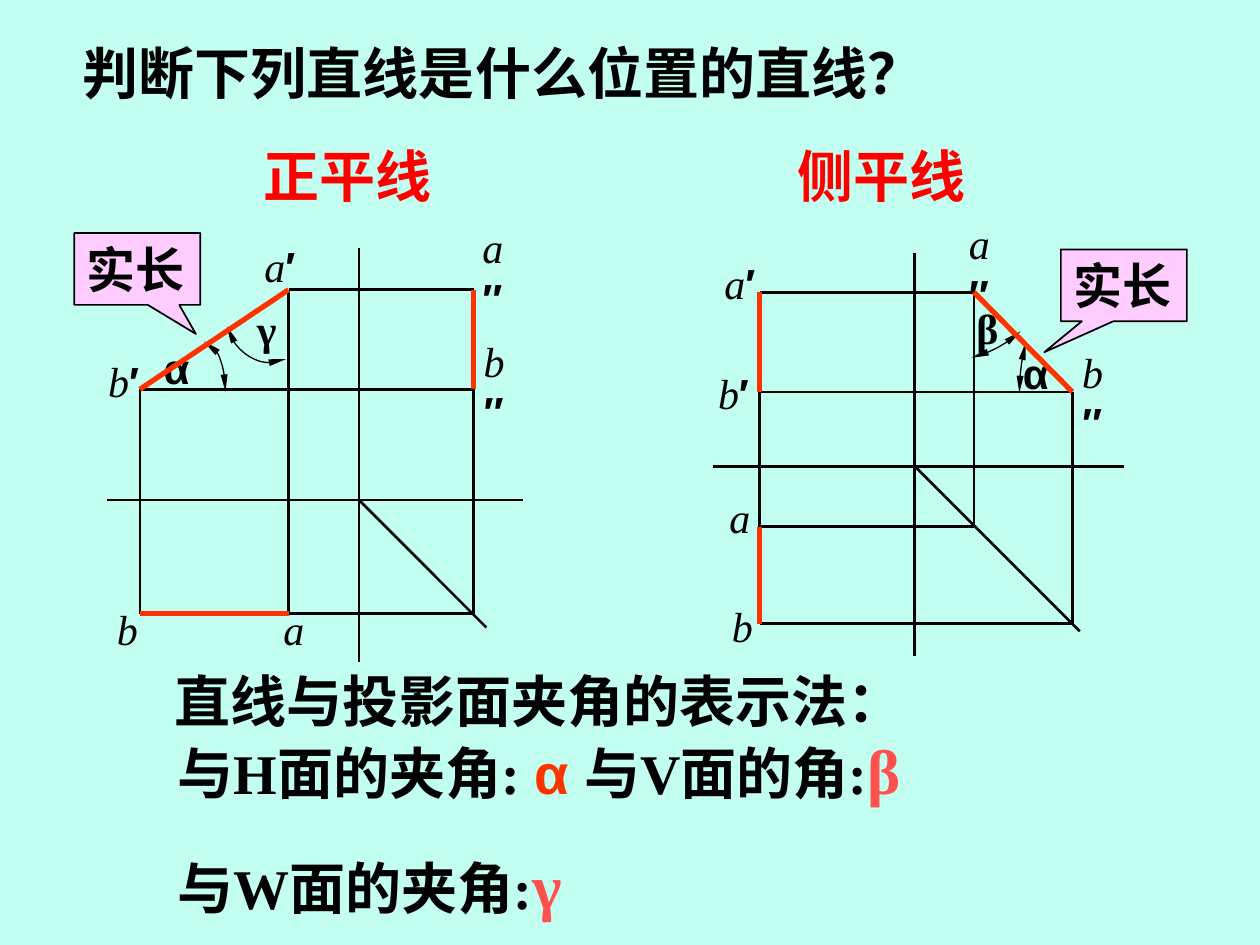
import pptx
import pptx.dml.color
import pptx.enum.shapes
import pptx.enum.text
import pptx.oxml
import pptx.oxml.ns
import pptx.util

RGB = pptx.dml.color.RGBColor
MINT, PINK = RGB(0xC2, 0xFF, 0xF0), RGB(0xFF, 0xCC, 0xFF)
BLACK, RED = RGB(0, 0, 0), RGB(0xFF, 0, 0)
ORANGE, CORAL = RGB(0xFF, 0x33, 0), RGB(0xFF, 0x50, 0x50)
SERIF, SANS = "Times New Roman", "Arial"
TOP, MIDDLE = pptx.enum.text.MSO_ANCHOR.TOP, pptx.enum.text.MSO_ANCHOR.MIDDLE
UNITS = 1000  # freeform units per inch

# text, (left, top, width, height), colour
HEADINGS = [
    ("判断下列直线是什么位置的直线？", (0.56, 0.25, 6.87, 0.64), BLACK),
    ("正平线", (1.99, 1.07, 1.93, 0.64), RED),
    ("侧平线", (6.23, 1.07, 1.93, 0.64), RED),
    ("直线与投影面夹角的表示法：", (1.29, 5.24, 5.98, 0.64), BLACK),
]
ANGLE_NOTES = [
    [("与H面的夹角: ", {}), ("α ", dict(font=SANS, color=ORANGE)),
     ("与V面的角:", {}), ("β", dict(size=36, color=CORAL))],
    [("与W面的夹角:", {}), ("γ", dict(size=36, color=CORAL))],
]
# left, top, tip offsets
CALLOUTS = [(8.42, 1.98, -0.632, 0.931), (0.59, 1.85, 0.465, 0.905)]
# letter, font, box
ANGLES = [
    ("α", SANS, (8.02, 2.71, 0.41, 0.5)),
    ("β", SERIF, (7.65, 2.35, 0.37, 0.5)),
    ("γ", SERIF, (1.94, 2.36, 0.35, 0.5)),
    ("α", SANS, (1.2, 2.67, 0.76, 0.5)),
]
# start point, then Bezier segments (control, control, end)
ARCS = [
    ((8.14, 2.72), [((8.11, 2.85), (8.09, 2.98), (8.09, 3.12))]),
    ((8.1, 2.63), [((7.99, 2.73), (7.86, 2.8), (7.71, 2.84))]),
    ((2.27, 2.85), [((2.11, 2.93), (1.91, 2.84), (1.82, 2.65)),
                    ((1.81, 2.63), (1.8, 2.61), (1.8, 2.59))]),
    ((1.62, 2.71), [((1.71, 2.71), (1.79, 2.89), (1.79, 3.11))]),
]
# Segments join (column, row) names; plain numbers are free ends.
VIEWS = [
    dict(
        cols=dict(b=1.11, a=2.29, axis=2.85, side=3.76),
        rows=dict(a=2.3, b=3.09, axis=3.97, plan=4.87),
        axes=[(("axis", 1.97), ("axis", 5.25)), ((0.85, "axis"), (4.15, "axis"))],
        thin=[(("a", "a"), ("side", "a")), (("b", "b"), ("side", "b")),
              (("a", "a"), ("a", "plan")), (("b", "b"), ("b", "plan")),
              (("side", "plan"), ("side", "b")), (("a", "plan"), ("side", "plan")),
              (("axis", "axis"), (3.86, 4.98))],
        thick=[(("b", "b"), ("a", "a")), (("side", "a"), ("side", "b")),
               (("b", "plan"), ("a", "plan"))],
        labels=[("b", "″", 3.74, 2.81), ("a", "″", 3.73, 1.91), ("a", "", 2.15, 4.74),
                ("b", "", 0.83, 4.74), ("a", "′", 2, 1.86), ("b", "′", 0.76, 2.77)],
    ),
    dict(
        cols=dict(front=6.03, axis=7.26, a=7.73, b=8.51),
        rows=dict(a=2.32, b=3.11, axis=3.7, plan_a=4.18, plan_b=4.95),
        axes=[(("axis", 2.01), ("axis", 5.21)), ((5.66, "axis"), (8.92, "axis"))],
        thin=[(("b", "b"), ("b", "plan_b")), (("a", "a"), ("a", "plan_a")),
              (("a", "a"), ("front", "a")), (("b", "b"), ("front", "b")),
              (("front", "b"), ("front", "plan_a")),
              (("front", "plan_a"), ("a", "plan_a")),
              (("front", "plan_b"), ("b", "plan_b")),
              (("axis", "axis"), (8.57, 5.01))],
        thick=[(("a", "a"), ("b", "b")), (("front", "plan_a"), ("front", "plan_b")),
               (("front", "a"), ("front", "b"))],
        labels=[("b", "″", 8.49, 2.9), ("a", "", 5.69, 3.85), ("a", "″", 7.59, 1.88),
                ("b", "′", 5.6, 2.87), ("b", "", 5.71, 4.72), ("a", "′", 5.65, 1.99)],
    ),
]
LABEL_WIDTHS = {"": 0.36, "′": 0.48, "″": 0.48}

prs = pptx.Presentation()
prs.slide_width, prs.slide_height = pptx.util.Inches(10), pptx.util.Inches(7.5)
s = prs.slides.add_slide(prs.slide_layouts[6])
s.background.fill.solid()
s.background.fill.fore_color.rgb = MINT


def inches(values):
    return [pptx.util.Inches(v) for v in values]


def add_run(p, text, size=32, font=SERIF, color=BLACK, bold=True, italic=False):
    r = p.add_run()
    r.text = text
    f = r.font
    f.size, f.name, f.bold, f.italic = pptx.util.Pt(size), font, bold, italic
    f.color.rgb = color


def add_text(paragraphs, box=None, sp=None, anchor=MIDDLE, wrap=False, gap=0, **style):
    """Fill sp, or a new text box, with paragraphs of (text, format) runs."""
    sp = sp or s.shapes.add_textbox(*inches(box))
    tf = sp.text_frame
    tf.word_wrap, tf.vertical_anchor = wrap, anchor
    for i, runs in enumerate(paragraphs):
        p = tf.add_paragraph() if i else tf.paragraphs[0]
        p.alignment = pptx.enum.text.PP_ALIGN.LEFT
        if i:
            p.space_before = pptx.util.Pt(gap)
        for text, own in runs:
            add_run(p, text, **{**style, **own})


def add_line(start, end, color=BLACK, width=1.5):
    c = s.shapes.add_connector(pptx.enum.shapes.MSO_CONNECTOR.STRAIGHT,
                               *inches((*start, *end)))
    c.line.color.rgb, c.line.width = color, pptx.util.Pt(width)
    c._element.spPr.append(pptx.oxml.parse_xml(
        "<a:effectLst %s/>" % pptx.oxml.ns.nsdecls("a")))


def add_callout(left, top, *tip):
    sp = s.shapes.add_shape(pptx.enum.shapes.MSO_SHAPE.RECTANGULAR_CALLOUT,
                            *inches((left, top, 1, 0.57)))
    sp.shadow.inherit = False
    sp.adjustments[0], sp.adjustments[1] = tip
    sp.fill.solid()
    sp.fill.fore_color.rgb = PINK
    sp.line.color.rgb, sp.line.width = BLACK, pptx.util.Pt(1)
    add_text([[("实长", {})]], sp=sp, wrap=True, size=28)


def bezier_points(start, segments, steps=12):
    yield start
    for c1, c2, end in segments:
        for i in range(1, steps + 1):
            t = i / steps
            u = 1 - t
            yield tuple(u**3 * a + 3 * u * u * t * b + 3 * u * t * t * c + t**3 * d
                        for a, b, c, d in zip(start, c1, c2, end))
        start = end


def add_arc(start, segments):
    points = [(round(x * UNITS), round(y * UNITS))
              for x, y in bezier_points(start, segments)]
    fb = s.shapes.build_freeform(*points[0], scale=pptx.util.Inches(1) / UNITS)
    fb.add_line_segments(points[1:], close=False)
    sp = fb.convert_to_shape()
    sp.shadow.inherit = False
    sp.fill.background()
    sp.line.color.rgb, sp.line.width = BLACK, pptx.util.Pt(0.75)
    for end in ("headEnd", "tailEnd"):
        sp.line._get_or_add_ln().append(pptx.oxml.parse_xml(
            '<a:%s %s type="triangle" w="sm" len="lg"/>'
            % (end, pptx.oxml.ns.nsdecls("a"))))


def add_view(view):
    def locate(point):
        x, y = point
        return view["cols"].get(x, x), view["rows"].get(y, y)

    for start, end in view["axes"] + view["thin"]:
        add_line(locate(start), locate(end))
    for start, end in view["thick"]:
        add_line(locate(start), locate(end), color=ORANGE, width=3)
    for letter, prime, left, top in view["labels"]:
        runs = [(letter, dict(bold=False, italic=True))]
        if prime:
            runs.append((prime, dict(font=SANS)))
        add_text([runs], (left, top, LABEL_WIDTHS[prime], 0.5),
                 wrap=prime == "″", size=24)


for text, box, color in HEADINGS:
    add_text([[(text, {})]], box, wrap=color == RED, color=color)
add_text(ANGLE_NOTES, (1.31, 5.76, 7.91, 1.62), anchor=TOP, wrap=True, gap=22.5)
for callout in CALLOUTS:
    add_callout(*callout)
for letter, font, box in ANGLES:
    add_text([[(letter, {})]], box, wrap=box[2] > 0.5, font=font, size=24)
for arc in ARCS:
    add_arc(*arc)
for view in VIEWS:
    add_view(view)
prs.save("out.pptx")
